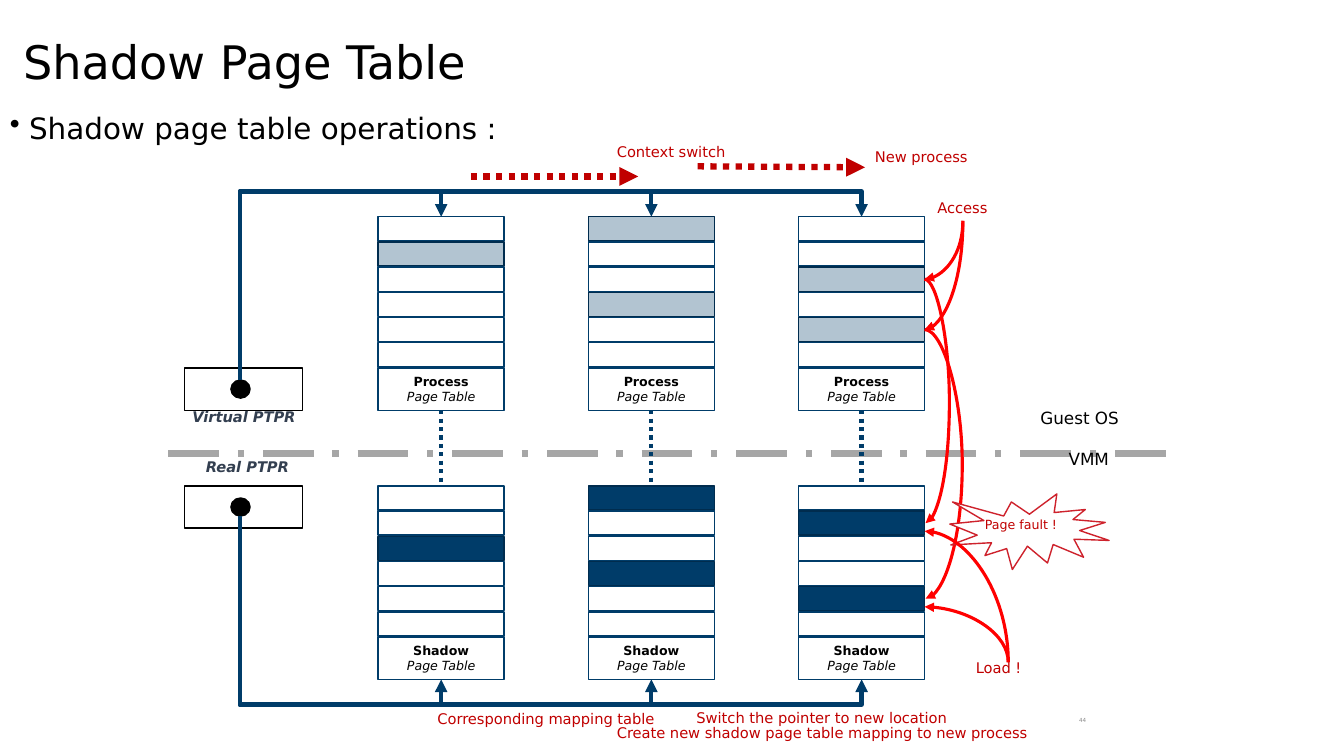
from lxml import etree
from pptx import Presentation
from pptx.dml.color import RGBColor
from pptx.enum.dml import MSO_LINE as Dash
from pptx.enum.shapes import MSO_CONNECTOR as Link, MSO_SHAPE as Preset
from pptx.enum.text import MSO_ANCHOR as Anchor, PP_ALIGN as Align
from pptx.oxml.ns import qn
from pptx.util import Inches, Pt

FONT = "DejaVu Sans"
COLORS = {"navy": "003C69", "edge": "002C4E", "black": "000000", "white": "FFFFFF",
          "slate": "333F50", "gray": "A6A6A6", "number": "8C8C8C", "note": "C00000",
          "red": "FF0000", "seal": "CE222C"}

TITLE = "Shadow Page Table"
BULLET = "Shadow page table operations :"
PAGE_NUMBER = "44"

# Each side: heading, top of the tables, used rows per table, register box top
SIDES = {
    "guest": ("Process", 2.15, [{1}, {0, 3}, {2, 4}], 3.65),
    "host": ("Shadow", 4.82, [{2}, {0, 3}, {1, 4}], 4.82),
}
REGISTER_LABELS = [("Virtual PTPR", 1.8, 4, 1.24), ("Real PTPR", 1.93, 4.49, 1.05)]
LAYER_LABELS = [("Guest OS", 10.22, 4, 1), ("VMM", 10.5, 4.4, 0.6)]
NOTES = [
    ("Context switch", 6.02, 1.37, 1.3),
    ("New process", 8.58, 1.42, 1.14),
    ("Access", 9.2, 1.92, 0.7),
    ("Load !", 9.58, 6.49, 0.66),
    ("Corresponding mapping table", 4.24, 6.99, 2.38),
    ("Switch the pointer to new location", 6.81, 6.98, 2.74),
    ("Create new shadow page table mapping to new process", 6.02, 7.13, 4.34),
]
SWITCH_ARROWS = [((4.67, 1.75), (6.33, 1.75)), ((6.92, 1.65), (8.58, 1.66))]
ACCESS_START, ACCESS_ENDS = (9.55, 2.19), [2.77, 3.27]
LOAD_START, LOAD_ENDS = (10, 6.57), [6.02, 5.27]
FAULTS = [(2.77, 5.19, 0.25), (3.27, 5.94, 0.38)]  # from y, to y, bulge

TABLE_LEFT, TABLE_PITCH, TABLE_W = 3.75, 2.085, 1.25
ROWS, ROW_PITCH, ROW_H, HEADING_H = 6, 0.25, 0.24, 0.42
REGISTER_X, TABLE_RIGHT = 2.38, 9.17
BUS_OVERSHOOT = 1.154

prs = Presentation()
prs.slide_width, prs.slide_height = Inches(13.33), Inches(7.5)
slide = prs.slides.add_slide(prs.slide_layouts[6])


def rgb(name):
    return RGBColor.from_string(COLORS[name])


def style(paragraph, size, color="black", bold=False, italic=False):
    for run in paragraph.runs:
        font = run.font
        font.name, font.size, font.bold, font.italic = FONT, Pt(size), bold, italic
        font.color.rgb = rgb(color)


def label(text, left, top, width, height, size, color="black", wrap=False,
          align=Align.LEFT, anchor=Anchor.TOP, **emphasis):
    box = slide.shapes.add_textbox(*map(Inches, (left, top, width, height)))
    frame = box.text_frame
    frame.text, frame.word_wrap, frame.vertical_anchor = text, wrap, anchor
    paragraph = frame.paragraphs[0]
    paragraph.alignment = align
    style(paragraph, size, color, **emphasis)
    return paragraph


def block(preset, left, top, width, height, fill, line, alpha=None):
    shape = slide.shapes.add_shape(preset, *map(Inches, (left, top, width, height)))
    shape.shadow.inherit = False
    shape.fill.solid()
    shape.fill.fore_color.rgb = rgb(fill)
    shape.line.color.rgb = rgb(line)
    shape.line.width = Pt(1)
    if alpha:
        color = shape.fill._xPr.find(".//" + qn("a:srgbClr"))
        etree.SubElement(color, qn("a:alpha"), val=str(alpha * 1000))
    return shape


def connect(kind, start, end, color, width, dash=None, arrow=False):
    link = slide.shapes.add_connector(kind, *map(Inches, (*start, *end)))
    link.line.color.rgb = rgb(color)
    link.line.width = Pt(width)
    if dash:
        link.line.dash_style = dash
    if arrow:
        etree.SubElement(link.line._get_or_add_ln(), qn("a:tailEnd"), type="triangle")
    etree.SubElement(link._element.spPr, qn("a:effectLst"))
    return link


def reshape(link, preset, adjust=None):
    geometry = link._element.spPr.find(qn("a:prstGeom"))
    geometry.set("prst", preset)
    if adjust is not None:
        guides = geometry.find(qn("a:avLst"))
        etree.SubElement(guides, qn("a:gd"), name="adj1", fmla=f"val {round(adjust * 100000)}")


def turn(link, start, end, degrees, **flips):
    """Give a connector a quarter turn so that it leaves its start vertically."""
    (x1, y1), (x2, y2) = start, end
    width, height = abs(y2 - y1), abs(x2 - x1)
    link.left, link.top = Inches((x1 + x2 - width) / 2), Inches((y1 + y2 - height) / 2)
    link.width, link.height = Inches(width), Inches(height)
    xfrm = link._element.spPr.find(qn("a:xfrm"))
    for flip in ("flipH", "flipV"):
        xfrm.attrib.pop(flip, None)
    xfrm.set("rot", str(degrees * 60000))
    for flip in flips:
        xfrm.set(flip, "1")


def glue(link, begin, begin_site, end, end_site):
    sites = link._element.find(".//" + qn("p:cNvCxnSpPr"))
    for tag, shape, site in (("a:stCxn", begin, begin_site), ("a:endCxn", end, end_site)):
        etree.SubElement(sites, qn(tag), id=str(shape.shape_id), idx=str(site))


def page_table(heading, left, top, used, fill, alpha):
    """Draw one table and return its first row and its heading."""
    for row in range(ROWS):
        look = (fill, "edge", alpha) if row in used else ("white", "navy")
        shape = block(Preset.RECTANGLE, left, top + row * ROW_PITCH, TABLE_W, ROW_H, *look)
        if row == 0:
            first = shape
    foot = block(Preset.RECTANGLE, left, top + ROWS * ROW_PITCH, TABLE_W, HEADING_H,
                 "white", "navy")
    frame = foot.text_frame
    frame.text, frame.vertical_anchor = f"{heading}\nPage Table", Anchor.MIDDLE
    for paragraph, emphasis in zip(frame.paragraphs, ({"bold": True}, {"italic": True})):
        paragraph.alignment = Align.CENTER
        style(paragraph, 9, **emphasis)
    return first, foot


label(PAGE_NUMBER, 9.42, 6.95, 1.45, 0.4, 4, "number", True, Align.RIGHT, Anchor.MIDDLE)
label(TITLE, 0.13, -0.14, 9.95, 1.57, 33, wrap=True, anchor=Anchor.MIDDLE).line_spacing = 0.9
bullet = label(BULLET, 0, 1.08, 9, 0.58, 21, wrap=True)
bullet.line_spacing = 0.9
properties = bullet._p.get_or_add_pPr()
properties.set("marL", str(Inches(0.19)))
properties.set("indent", str(-Inches(0.19)))
etree.SubElement(properties, qn("a:buChar"), char="•")

for side, (heading, top, used_rows, register_top) in SIDES.items():
    guest = side == "guest"
    block(Preset.RECTANGLE, 1.83, register_top, 1.17, 0.42, "white", "black")
    dot = block(Preset.OVAL, 2.29, register_top + 0.12, 0.19, 0.18, "black", "black")
    for column, used in enumerate(used_rows):
        left = TABLE_LEFT + column * TABLE_PITCH
        first, foot = page_table(heading, left, top, used, "navy", 30 if guest else None)
        center = left + TABLE_W / 2
        start = (REGISTER_X, 3.77 if guest else 5.12)
        end = (center, top if guest else top + ROWS * ROW_PITCH + HEADING_H)
        bus = connect(Link.ELBOW, start, end, "navy", 3, arrow=True)
        reshape(bus, "bentConnector3", BUS_OVERSHOOT)
        if guest:
            turn(bus, start, end, 90, flipH=True, flipV=True)
            glue(bus, dot, 0, first, 0)
        else:
            turn(bus, start, end, 270, flipH=True)
            glue(bus, dot, 4, foot, 2)

connect(Link.STRAIGHT, (1.67, 4.5), (11.67, 4.5), "gray", 4.5, Dash.LONG_DASH_DOT)
for column in range(3):
    center = TABLE_LEFT + column * TABLE_PITCH + TABLE_W / 2
    connect(Link.STRAIGHT, (center, 4.07), (center, 4.82), "navy", 3, Dash.ROUND_DOT)
for start, end in SWITCH_ARROWS:
    connect(Link.STRAIGHT, start, end, "note", 4.5, Dash.ROUND_DOT, arrow=True)

for y1, y2, bulge in FAULTS:
    span = 0.01
    fault = connect(Link.CURVE, (TABLE_RIGHT, y1), (TABLE_RIGHT + span, y2), "red", 2.25, arrow=True)
    reshape(fault, "curvedConnector3", bulge / span)
block(Preset.EXPLOSION1, 9.42, 4.9, 1.58, 0.75, "white", "seal")
for start, ends, degrees, flips in ((ACCESS_START, ACCESS_ENDS, 90, {}),
                                    (LOAD_START, LOAD_ENDS, 270, {"flipV": True})):
    for y in ends:
        end = (TABLE_RIGHT, y)
        curve = connect(Link.CURVE, start, end, "red", 2.25, arrow=True)
        reshape(curve, "curvedConnector2")
        turn(curve, start, end, degrees, **flips)

for text, left, top, width in REGISTER_LABELS:
    label(text, left, top, width, 0.28, 10.5, "slate", align=Align.CENTER, bold=True, italic=True)
for text, left, top, width in LAYER_LABELS:
    label(text, left, top, width, 0.3, 12)
for text, left, top, width in NOTES:
    label(text, left, top, width, 0.28, 10.5, "note")
label("Page fault !", 9.67, 5.08, 0.93, 0.25, 9, "note")

prs.save("out.pptx")
